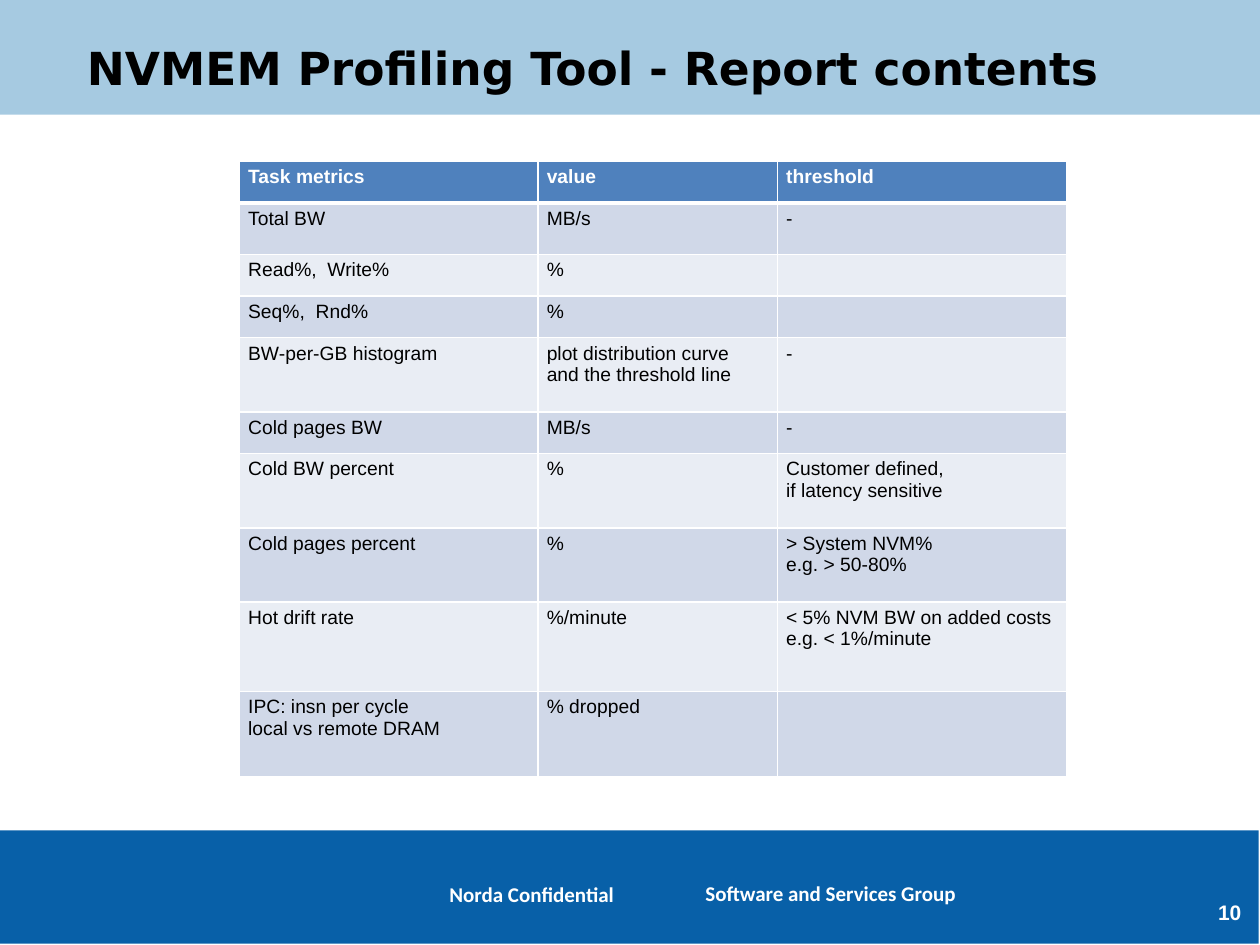
from pptx import Presentation, util as u
from pptx.dml.color import RGBColor
from pptx.enum import shapes, text
from pptx.oxml import parse_xml
from pptx.oxml.ns import nsdecls

Inches = u.Inches
COLOURS = {
    "sky": "A6CAE1",
    "navy": "0860A8",
    "head": "4F81BD",
    "odd": "D0D8E8",
    "even": "E9EDF4",
    "white": "FFFFFF",
    "black": "000000",
}
COLUMN_WIDTHS = [2.37, 1.9, 2.3]
METRICS = [
    (0.33, "Task metrics", "value", "threshold"),
    (0.41, "Total BW", "MB/s", "-"),
    (0.33, "Read%,  Write%", "%", ""),
    (0.33, "Seq%,  Rnd%", "%", ""),
    (0.59, "BW-per-GB histogram", "plot distribution curve\nand the threshold line", "-"),
    (0.33, "Cold pages BW", "MB/s", "-"),
    (0.59, "Cold BW percent", "%", "Customer defined,\nif latency sensitive"),
    (0.59, "Cold pages percent", "%", "> System NVM%\ne.g. > 50-80%"),
    (0.71, "Hot drift rate", "%/minute", "< 5% NVM BW on added costs\ne.g. < 1%/minute"),
    (0.68, "IPC: insn per cycle\nlocal vs remote DRAM", "% dropped", ""),
]


def colour(name):
    """Return the named palette colour."""
    return RGBColor.from_string(COLOURS[name])


def style_text(frame, font, size, shade, bold):
    """Give every run in a text frame the same look."""
    for para in frame.paragraphs:
        for span in para.runs:
            span.font.name = font
            span.font.size = u.Pt(size)
            span.font.bold = bold
            span.font.color.rgb = colour(shade)
        if not para.runs:
            para._p.get_or_add_endParaRPr().set("sz", str(size * 100))


def add_band(page, box, shade):
    """Draw a plain filled band."""
    band = page.shapes.add_shape(shapes.MSO_SHAPE.RECTANGLE, *map(Inches, box))
    band.shadow.inherit = False
    band.fill.solid()
    band.fill.fore_color.rgb = colour(shade)
    band.line.fill.background()


def add_label(page, box, words, font="Calibri", size=12, shade="white",
              align="LEFT", anchor="TOP", insets=(0, 0)):
    """Place one bold line of text in a box."""
    label = page.shapes.add_textbox(*map(Inches, box))
    frame = label.text_frame
    frame.word_wrap = True
    frame.vertical_anchor = text.MSO_ANCHOR[anchor]
    frame.margin_left = frame.margin_right = Inches(insets[0])
    frame.margin_top = frame.margin_bottom = Inches(insets[1])
    frame.text = words
    frame.paragraphs[0].alignment = text.PP_ALIGN[align]
    style_text(frame, font, size, shade, True)


def add_header(page, box):
    """Draw the title band and its title."""
    left, top, width, height = box
    add_band(page, box, "sky")
    add_label(page, (left + 0.69, top - 0.09, width - 1, height + 0.34),
              "NVMEM Profiling Tool - Report contents", "DejaVu Sans", 26, "black",
              anchor="MIDDLE")


def add_footer(page, box):
    """Draw the footer band with its two labels and the page number."""
    left, top, width, height = box
    add_band(page, box, "navy")
    add_label(page, (left + 5.5, top + 0.35, 3.03, 0.3), "Software and Services Group",
              insets=(0.1, 0.05))
    add_label(page, (left + 2.72, top + 0.36, 3, 0.3), "Norda Confidential",
              align="CENTER", insets=(0.1, 0.05))
    add_label(page, (left + 9.52, top + 0.17, 0.48, 0.58), "10", "Arial",
              align="CENTER", anchor="BOTTOM")


def add_borders(cell, is_head, below_head):
    """Rule a cell in white, with a thick line under the header."""
    widths = {"lnL": 1, "lnR": 1, "lnT": 3 if below_head else 1, "lnB": 3 if is_head else 1}
    properties = cell._tc.get_or_add_tcPr()
    for position, (side, width) in enumerate(widths.items()):
        properties.insert(position, parse_xml(
            f'<a:{side} {nsdecls("a")} w="{u.Pt(width)}"><a:solidFill>'
            f'<a:srgbClr val="{COLOURS["white"]}"/></a:solidFill></a:{side}>'))


def add_metrics(page, box):
    """Fill the table of task metrics."""
    frame = page.shapes.add_table(len(METRICS), len(COLUMN_WIDTHS), *map(Inches, box))
    table = frame.table
    for column, width in zip(table.columns, COLUMN_WIDTHS):
        column.width = Inches(width)
    for index, (height, *entries) in enumerate(METRICS):
        is_head = index == 0
        fill = "head" if is_head else "odd" if index % 2 else "even"
        table.rows[index].height = Inches(height)
        for cell, words in zip(table.rows[index].cells, entries):
            cell.margin_left = cell.margin_right = Inches(0.07)
            cell.margin_top = cell.margin_bottom = Inches(0.04)
            cell.fill.solid()
            cell.fill.fore_color.rgb = colour(fill)
            add_borders(cell, is_head, index == 1)
            cell.text_frame.text = words
            style_text(cell.text_frame, "Arial", 11, "white" if is_head else "black", is_head)


def main():
    """Build and save the deck."""
    deck = Presentation()
    deck.slide_width, deck.slide_height = Inches(10), Inches(7.5)
    page = deck.slides.add_slide(deck.slide_layouts[6])
    add_footer(page, (0, 6.59, 9.99, 0.9))
    add_header(page, (0, 0, 10, 0.91))
    add_metrics(page, (1.9, 1.28, 6.57, 4.89))
    deck.save("out.pptx")


if __name__ == "__main__":
    main()
